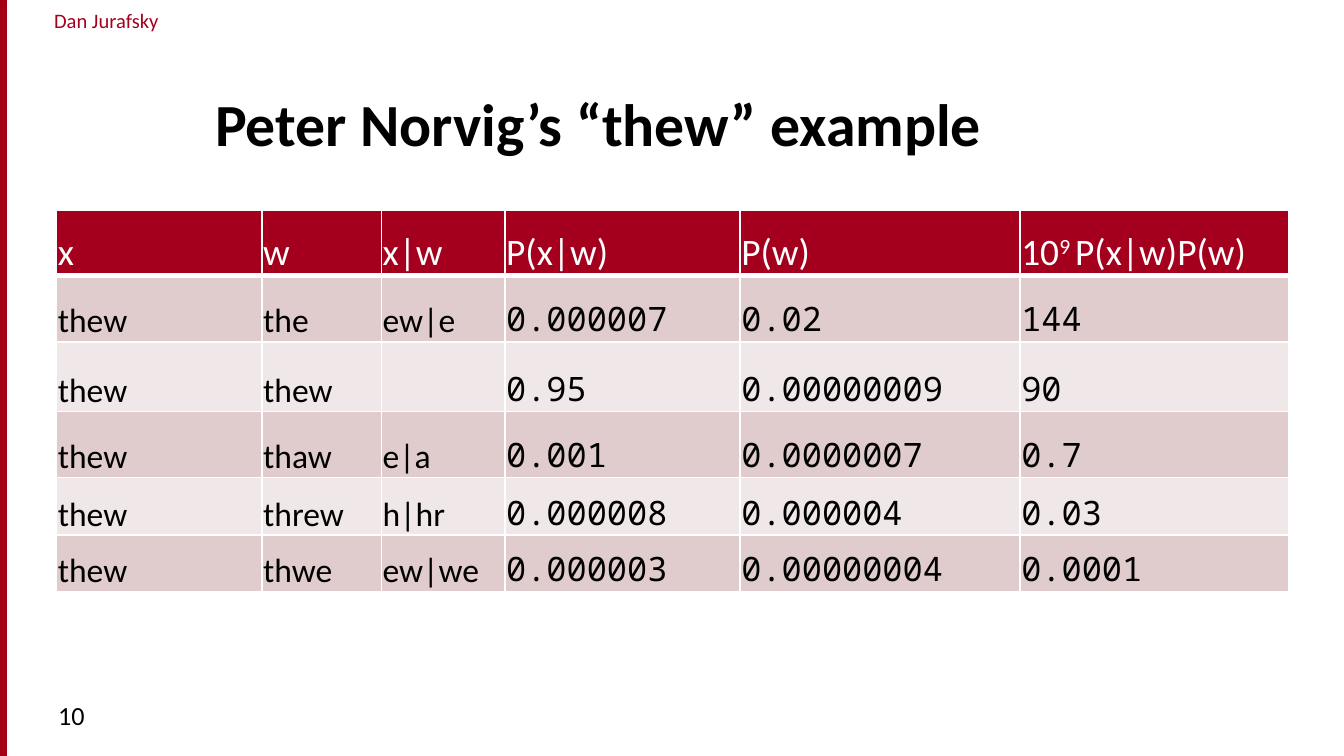
"""Build the slide tabulating noisy-channel scores for the typo "thew"."""
from dataclasses import dataclass

from lxml import etree
from pptx import Presentation
from pptx.dml.color import RGBColor
from pptx.enum.shapes import MSO_SHAPE
from pptx.enum.text import MSO_ANCHOR, MSO_AUTO_SIZE, PP_ALIGN
from pptx.oxml.ns import qn
from pptx.slide import Slide
from pptx.table import _Cell
from pptx.util import Pt

RECT = MSO_SHAPE.RECTANGLE
BOTTOM = MSO_ANCHOR.BOTTOM
NO_FIT = MSO_AUTO_SIZE.NONE
LEFT, CENTER = PP_ALIGN.LEFT, PP_ALIGN.CENTER

RED = RGBColor(0xA4, 0x00, 0x1D)
BAR_RED = RGBColor(0xA4, 0x05, 0x08)
DARK_BAND = RGBColor(0xE0, 0xCC, 0xCD)
LIGHT_BAND = RGBColor(0xF0, 0xE7, 0xE8)
BLACK = RGBColor(0, 0, 0)
WHITE = RGBColor(0xFF, 0xFF, 0xFF)

SANS, MONO = "Calibri", "Noto Sans Mono"
COL_WIDTHS = (110, 64, 66.2, 126, 150, 144)
ROW_HEIGHTS = (35.3, 35.3, 37.4, 35.3, 31, 30.2)
FIRST_NUMBER_COL = 3

HEADER = ("x", "w", "x|w", "P(x|w)", "P(w)", "10^9 ^P(x|w)P(w)")
ROWS = (
    ("thew", "the", "ew|e", "0.000007", "0.02", "144"),
    ("thew", "thew", "", "0.95", "0.00000009", "90"),
    ("thew", "thaw", "e|a", "0.001", "0.0000007", "0.7"),
    ("thew", "threw", "h|hr", "0.000008", "0.000004", "0.03"),
    ("thew", "thwe", "ew|we", "0.000003", "0.00000004", "0.0001"),
)


@dataclass(frozen=True)
class Label:
    text: str
    left: float
    top: float
    width: float
    height: float
    size: float
    color: RGBColor
    align: PP_ALIGN
    inset_x: float


@dataclass(frozen=True)
class CellStyle:
    fill: RGBColor
    color: RGBColor
    size: float
    font: str
    top_line: float
    bottom_line: float


LABELS = (
    Label("Dan Jurafsky", 6, 0.7, 102, 21, 11, RED, CENTER, 0),
    Label("10", 24, 371, 156, 27, 14, BLACK, LEFT, 7.2),
)


def add_label(s: Slide, label: Label) -> None:
    """Add one plain text box."""
    sp = s.shapes.add_textbox(Pt(label.left), Pt(label.top), Pt(label.width), Pt(label.height))
    tf = sp.text_frame
    tf.word_wrap = True
    tf.margin_left = tf.margin_right = Pt(label.inset_x)
    p = tf.paragraphs[0]
    p.text = label.text
    p.alignment = label.align
    p.font.name, p.font.size = SANS, Pt(label.size)
    p.font.color.rgb = label.color


def add_side_bar(s: Slide) -> None:
    """Add the red bar along the left edge."""
    sp = s.shapes.add_shape(RECT, 0, 0, Pt(3.6), Pt(405))
    sp.shadow.inherit = False
    sp.fill.solid()
    sp.fill.fore_color.rgb = BAR_RED
    sp.line.color.rgb = RED
    sp.line.width = Pt(0.75)


def set_title(s: Slide, text: str) -> None:
    """Place and format the title placeholder."""
    sp = s.shapes.title
    sp.left, sp.top, sp.width, sp.height = Pt(108), Pt(30), Pt(588), Pt(58.5)
    tf = sp.text_frame
    tf.auto_size = NO_FIT
    tf.vertical_anchor = BOTTOM
    p = tf.paragraphs[0]
    p.text = text
    p.alignment = LEFT
    p.font.name, p.font.size, p.font.bold = SANS, Pt(32), True
    p.font.color.rgb = BLACK


def add_borders(cell: _Cell, style: CellStyle) -> None:
    """Draw white lines on all four sides of a cell."""
    tc_pr = cell._tc.get_or_add_tcPr()
    widths = {"L": 1, "R": 1, "T": style.top_line, "B": style.bottom_line}
    for side, width in widths.items():
        ln = etree.SubElement(tc_pr, qn(f"a:ln{side}"), w=str(Pt(width)))
        fill = etree.SubElement(ln, qn("a:solidFill"))
        etree.SubElement(fill, qn("a:srgbClr"), val=str(WHITE))


def fill_cell(cell: _Cell, text: str, style: CellStyle) -> None:
    """Write and style a cell; text between carets is superscript."""
    add_borders(cell, style)
    cell.fill.solid()
    cell.fill.fore_color.rgb = style.fill
    cell.vertical_anchor = BOTTOM
    cell.margin_left = cell.margin_right = cell.margin_top = Pt(0.72)
    cell.margin_bottom = 0
    p = cell.text_frame.paragraphs[0]
    p.font.name, p.font.size = style.font, Pt(style.size)
    p.font.color.rgb = style.color
    for i, part in enumerate(text.split("^") if text else ()):
        r = p.add_run()
        r.text = part
        if i % 2:
            r._r.get_or_add_rPr().set("baseline", "30000")


def cell_style(row: int, col: int) -> CellStyle:
    """Return the style for a grid position."""
    if row == 0:
        return CellStyle(RED, WHITE, 20, SANS, 1, 3)
    fill = DARK_BAND if row % 2 else LIGHT_BAND
    font = MONO if col >= FIRST_NUMBER_COL else SANS
    return CellStyle(fill, BLACK, 18, font, 3 if row == 1 else 1, 1)


def add_score_table(s: Slide) -> None:
    """Add the table of candidate corrections."""
    grid = (HEADER, *ROWS)
    table = s.shapes.add_table(
        len(grid), len(HEADER), Pt(30.3), Pt(112.5), Pt(sum(COL_WIDTHS)), Pt(sum(ROW_HEIGHTS))
    ).table
    table.first_row = table.horz_banding = False
    for col, width in zip(table.columns, COL_WIDTHS):
        col.width = Pt(width)
    for row, height in zip(table.rows, ROW_HEIGHTS):
        row.height = Pt(height)
    for i, values in enumerate(grid):
        for j, text in enumerate(values):
            fill_cell(table.cell(i, j), text, cell_style(i, j))


def main() -> None:
    """Build and save the presentation."""
    prs = Presentation()
    prs.slide_width, prs.slide_height = Pt(720), Pt(405)
    s = prs.slides.add_slide(prs.slide_layouts[5])
    add_side_bar(s)
    set_title(s, "Peter Norvig’s “thew” example")
    for label in LABELS:
        add_label(s, label)
    add_score_table(s)
    prs.save("out.pptx")


if __name__ == "__main__":
    main()
